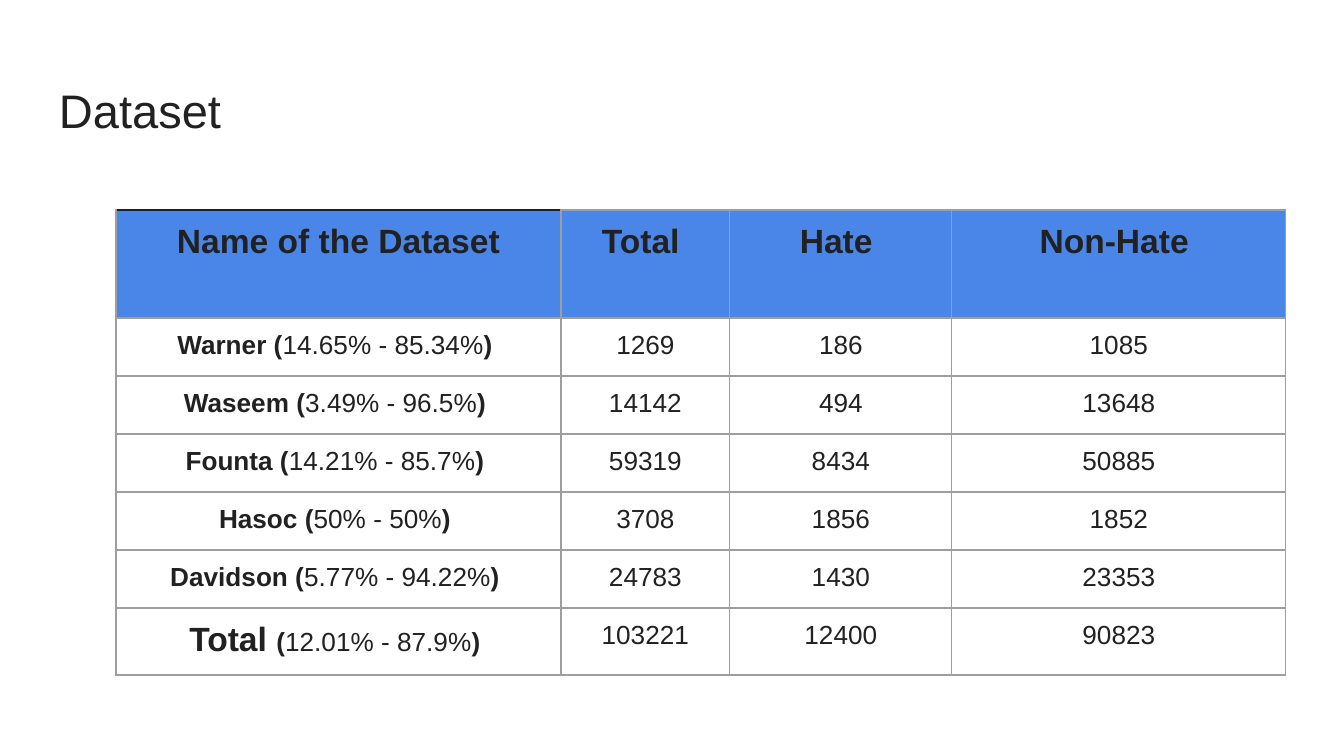
from typing import NamedTuple

from lxml.etree import SubElement
from pptx import Presentation
from pptx.dml.color import RGBColor
from pptx.enum.text import MSO_ANCHOR, PP_ALIGN
from pptx.oxml.ns import qn
from pptx.util import Emu, Pt

COLORS = {"text": "212121", "header": "4A86E8", "body": "FFFFFF", "grid": "9E9E9E"}
FONT = "Arial"
EMU_PER_PX = 914400 / 134.4
INSET = 13
COLUMN_WIDTHS = (445, 169, 222, 334)
ROW_HEIGHTS = (108, 58, 58, 58, 58, 58, 67)
HEADINGS = ("Name of the Dataset", "Total ", "Hate ", "Non-Hate ")


class Dataset(NamedTuple):
    name: str
    shares: str
    total: int
    hate: int
    non_hate: int
    name_size: float = 14


DATASETS = (
    Dataset("Warner ", "14.65% - 85.34%", 1269, 186, 1085),
    Dataset("Waseem ", "3.49% - 96.5%", 14142, 494, 13648),
    Dataset("Founta ", "14.21% - 85.7%", 59319, 8434, 50885),
    Dataset("Hasoc ", "50% - 50%", 3708, 1856, 1852),
    Dataset("Davidson ", "5.77% - 94.22%", 24783, 1430, 23353),
    Dataset("Total ", "12.01% - 87.9%", 103221, 12400, 90823, 18),
)


class TextRun(NamedTuple):
    text: str
    size: float = 14
    bold: bool = False


def px(length: int) -> Emu:
    return Emu(round(length * EMU_PER_PX))


def add_run(paragraph, part: TextRun) -> None:
    run = paragraph.add_run()
    run.text = part.text
    run.font.name = FONT
    run.font.size = Pt(part.size)
    run.font.bold = part.bold
    run.font.color.rgb = RGBColor.from_string(COLORS["text"])


def set_insets(target) -> None:
    target.margin_left = target.margin_right = px(INSET)
    target.margin_top = target.margin_bottom = px(INSET)


def set_borders(cell, top: str) -> None:
    properties = cell._tc.get_or_add_tcPr()
    sides = {"lnL": "grid", "lnR": "grid", "lnT": top, "lnB": "grid"}
    for position, (side, color) in enumerate(sides.items()):
        line = SubElement(properties, qn(f"a:{side}"), w=str(Pt(0.75)))
        fill = SubElement(line, qn("a:solidFill"))
        SubElement(fill, qn("a:srgbClr"), val=COLORS[color])
        # Borders come before the cell fill
        properties.insert(position, line)


def fill_cell(cell, parts: list[TextRun], fill: str, top: str = "grid") -> None:
    set_insets(cell)
    cell.vertical_anchor = MSO_ANCHOR.TOP
    cell.fill.solid()
    cell.fill.fore_color.rgb = RGBColor.from_string(COLORS[fill])
    set_borders(cell, top)
    paragraph = cell.text_frame.paragraphs[0]
    paragraph.alignment = PP_ALIGN.CENTER
    for part in parts:
        add_run(paragraph, part)


def dataset_cells(dataset: Dataset) -> list[list[TextRun]]:
    label = [
        TextRun(dataset.name, dataset.name_size, True),
        TextRun("(", bold=True),
        TextRun(dataset.shares),
        TextRun(") ", bold=True),
    ]
    counts = (dataset.total, dataset.hate, dataset.non_hate)
    return [label, *([TextRun(str(count))] for count in counts)]


def add_title(slide) -> None:
    title = slide.shapes.title
    title.left, title.top, title.width, title.height = map(px, (46, 66, 1253, 85))
    frame = title.text_frame
    set_insets(frame)
    frame.word_wrap = True
    frame.vertical_anchor = MSO_ANCHOR.BOTTOM
    paragraph = frame.paragraphs[0]
    paragraph.alignment = PP_ALIGN.LEFT
    paragraph.line_spacing = 1.0
    add_run(paragraph, TextRun("Dataset", 25.2))


def add_dataset_table(slide) -> None:
    table = slide.shapes.add_table(
        len(ROW_HEIGHTS), len(COLUMN_WIDTHS), px(116), px(210),
        px(sum(COLUMN_WIDTHS)), px(sum(ROW_HEIGHTS)),
    ).table
    table.first_row = table.horz_banding = False
    for column, width in zip(table.columns, COLUMN_WIDTHS):
        column.width = px(width)
    for row, height in zip(table.rows, ROW_HEIGHTS):
        row.height = px(height)

    # Header row, with a dark line above the first heading
    for index, heading in enumerate(HEADINGS):
        top = "grid" if index else "text"
        fill_cell(table.cell(0, index), [TextRun(heading, 18, True)], "header", top)

    # One row per dataset, ending with the totals
    for row_index, dataset in enumerate(DATASETS, start=1):
        for column_index, parts in enumerate(dataset_cells(dataset)):
            fill_cell(table.cell(row_index, column_index), parts, "body")


def main() -> None:
    presentation = Presentation()
    presentation.slide_width, presentation.slide_height = px(1344), px(756)
    slide = presentation.slides.add_slide(presentation.slide_layouts[5])
    add_title(slide)
    add_dataset_table(slide)
    presentation.save("out.pptx")


if __name__ == "__main__":
    main()
